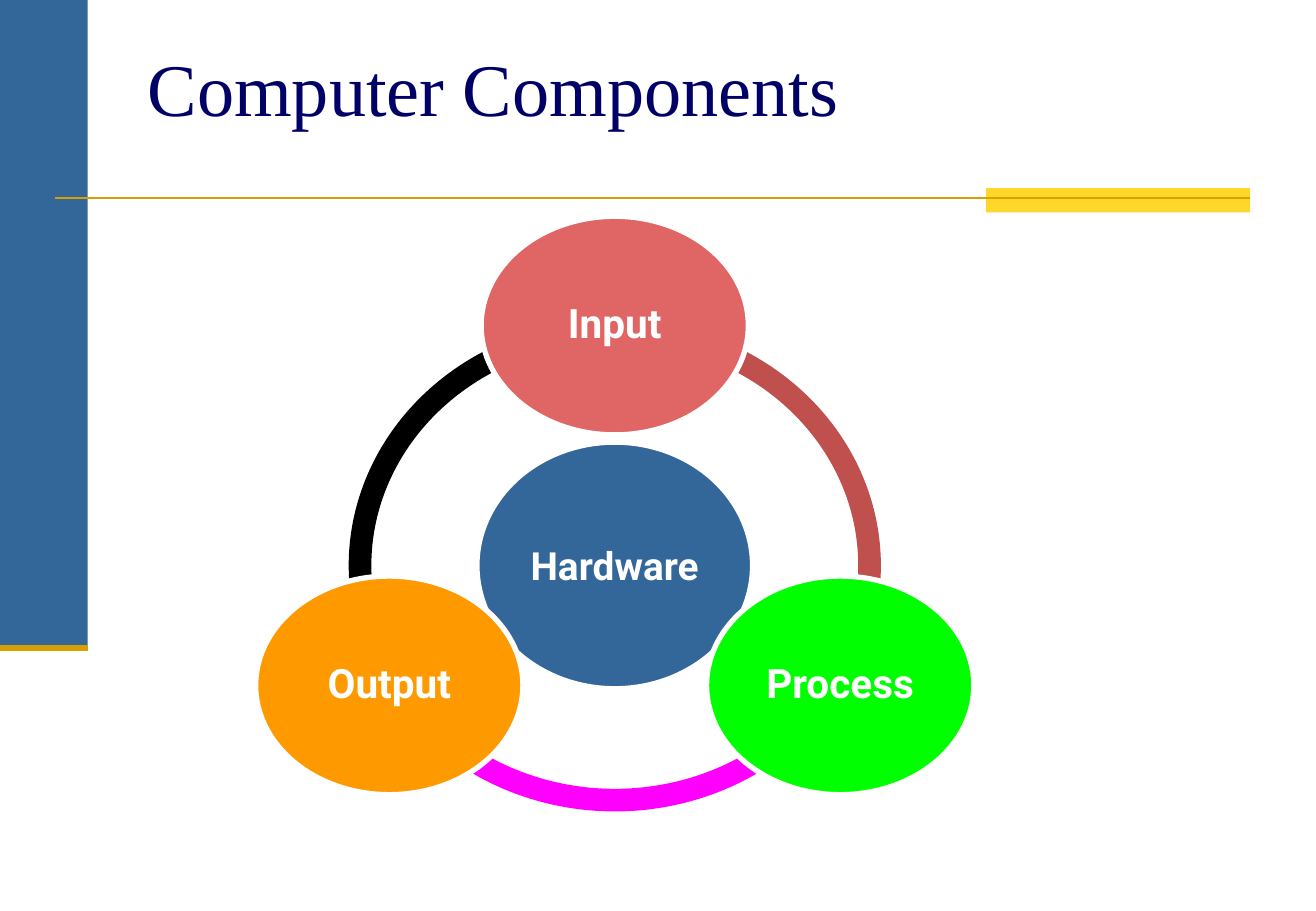
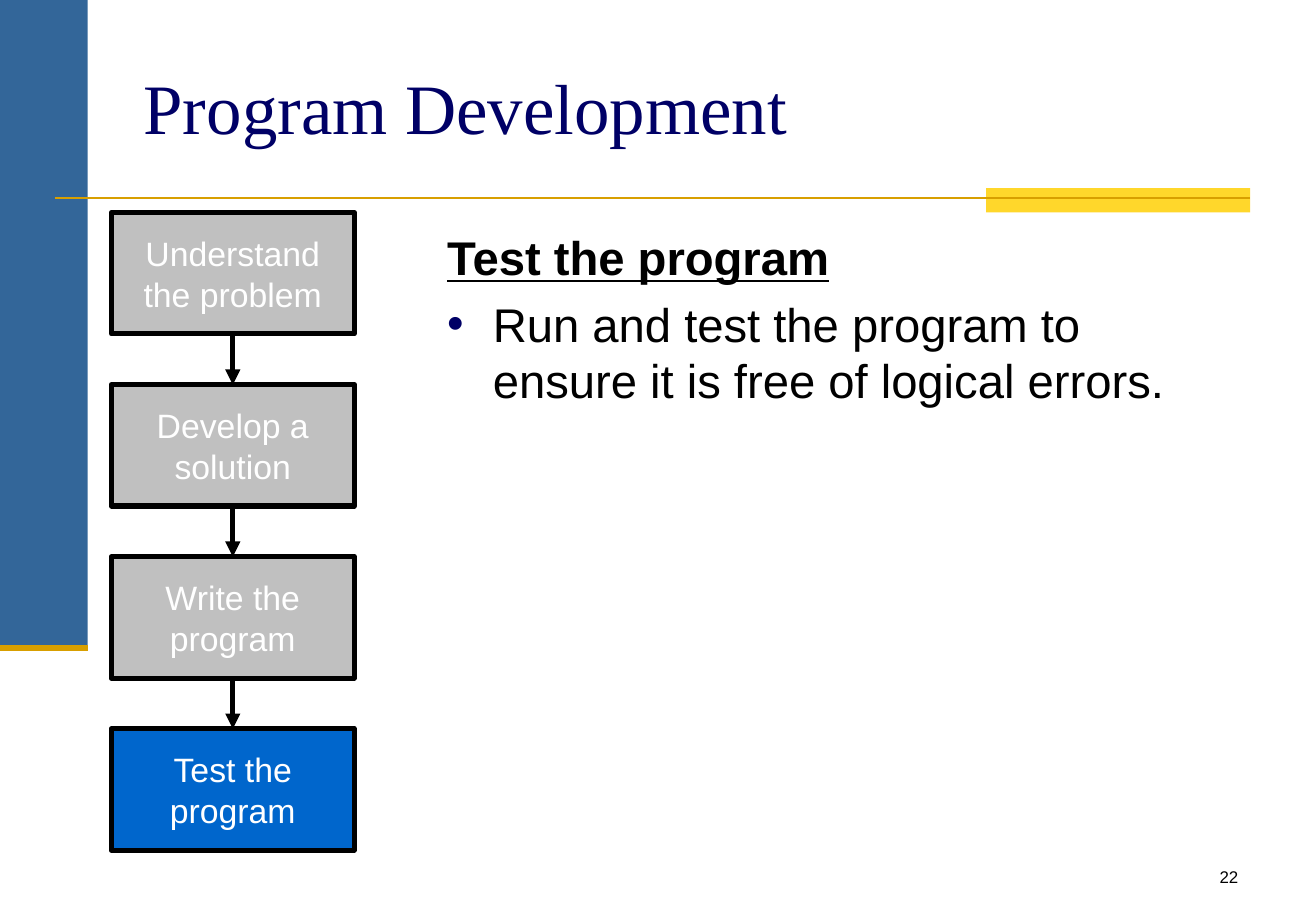
import math
from dataclasses import dataclass

from lxml import etree
from pptx import Presentation
from pptx.dml.color import RGBColor
from pptx.enum.shapes import MSO_CONNECTOR, MSO_SHAPE
from pptx.enum.text import MSO_ANCHOR, PP_ALIGN
from pptx.oxml.ns import qn
from pptx.util import Pt

RECTANGLE, ELLIPSE, ARC = MSO_SHAPE.RECTANGLE, MSO_SHAPE.OVAL, MSO_SHAPE.BLOCK_ARC
STRAIGHT = MSO_CONNECTOR.STRAIGHT
LEFT, CENTER, RIGHT = PP_ALIGN.LEFT, PP_ALIGN.CENTER, PP_ALIGN.RIGHT
TOP, MIDDLE, BOTTOM = MSO_ANCHOR.TOP, MSO_ANCHOR.MIDDLE, MSO_ANCHOR.BOTTOM

BLANK_LAYOUT = 6
INSETS = (7.2, 3.6)


@dataclass(frozen=True)
class Theme:
    blue: str = "336699"
    yellow: str = "FFD72B"
    gold: str = "D89F00"
    navy: str = "000066"
    black: str = "000000"
    white: str = "FFFFFF"
    gray: str = "C0C0C0"
    active: str = "0066CC"
    coral: str = "E06666"
    green: str = "00FF00"
    orange: str = "FF9900"
    brick: str = "BF504D"
    magenta: str = "FF00FF"
    title_font: str = "Times New Roman"
    body_font: str = "Arial"
    diagram_font: str = "Roboto"
    title_size: float = 44
    compact_title_size: float = 42
    body_size: float = 28
    orbit_size: float = 24
    hub_size: float = 23
    step_size: float = 20
    page_number_size: float = 10


def write_text(para, text, *, size, font, color, bold=False, underline=False,
               align=LEFT, line_spacing=None, space_before=0):
    para.alignment = align
    para.space_before = Pt(space_before)
    if line_spacing:
        para.line_spacing = line_spacing
    span = para.add_run()
    span.text = text
    span.font.size = Pt(size)
    span.font.name = font
    span.font.bold = bold
    span.font.underline = underline
    span.font.color.rgb = RGBColor.from_string(color)


def hang_indent(para, indent, bullet=None, bullet_color=None):
    properties = para._p.get_or_add_pPr()
    properties.set("marL", str(Pt(indent)))
    properties.set("indent", str(-Pt(indent)))
    if bullet:
        color = etree.SubElement(properties, qn("a:buClr"))
        etree.SubElement(color, qn("a:srgbClr"), val=bullet_color)
        etree.SubElement(properties, qn("a:buFont"), typeface="Arial")
        etree.SubElement(properties, qn("a:buChar"), char=bullet)


class SlideBuilder:
    def __init__(self, deck, theme):
        self.deck = deck
        self.theme = theme
        self.slide = None

    def start_slide(self):
        """Add a blank slide with the side band and the title rule."""
        theme = self.theme
        self.slide = self.deck.slides.add_slide(self.deck.slide_layouts[BLANK_LAYOUT])
        self.shape(RECTANGLE, 0, 0, 52, 384, theme.blue)
        self.shape(RECTANGLE, 584.5, 111.5, 156.5, 14.5, theme.yellow)
        self.line(32.5, 117.5, 741, 117.5, theme.gold, 1.5)
        self.line(0, 384, 52, 384, theme.gold, 3.5)

    def shape(self, kind, left, top, width, height, fill, line=None, line_width=0):
        shape = self.slide.shapes.add_shape(kind, Pt(left), Pt(top), Pt(width), Pt(height))
        shape.shadow.inherit = False
        shape.fill.solid()
        shape.fill.fore_color.rgb = RGBColor.from_string(fill)
        if line:
            shape.line.color.rgb = RGBColor.from_string(line)
            shape.line.width = Pt(line_width)
        else:
            shape.line.fill.background()
        return shape

    def frame(self, shape, anchor, insets=INSETS):
        frame = shape.text_frame
        frame.word_wrap = True
        frame.vertical_anchor = anchor
        frame.margin_left = frame.margin_right = Pt(insets[0])
        frame.margin_top = frame.margin_bottom = Pt(insets[1])
        return frame

    def text_box(self, left, top, width, height, anchor=TOP, insets=INSETS):
        box = self.slide.shapes.add_textbox(Pt(left), Pt(top), Pt(width), Pt(height))
        return self.frame(box, anchor, insets)

    def title(self, text, left, top, width, height, size, anchor, insets=INSETS):
        frame = self.text_box(left, top, width, height, anchor, insets)
        write_text(frame.paragraphs[0], text, size=size,
                   font=self.theme.title_font, color=self.theme.navy)

    def line(self, x1, y1, x2, y2, color, width, arrow=False):
        line = self.slide.shapes.add_connector(STRAIGHT, Pt(x1), Pt(y1), Pt(x2), Pt(y2))
        line.line.color.rgb = RGBColor.from_string(color)
        line.line.width = Pt(width)
        if arrow:
            etree.SubElement(line.line._get_or_add_ln(), qn("a:tailEnd"), type="triangle")
        etree.SubElement(line._element.spPr, qn("a:effectLst"))

    def arc(self, center, size, start, end, color):
        """Draw a thin ring segment clockwise between two angles in degrees."""
        arc = self.shape(ARC, center[0] - size[0] / 2, center[1] - size[1] / 2, *size, color)
        units_per_degree = 0.6
        arc.adjustments[0] = start * units_per_degree
        arc.adjustments[1] = end * units_per_degree
        arc.adjustments[2] = 0.046

    def bubble(self, text, center, size, fill, text_size, line_spacing=None):
        theme = self.theme
        bubble = self.shape(ELLIPSE, center[0] - size[0] / 2, center[1] - size[1] / 2,
                            *size, fill, theme.white, 3.15)
        frame = self.frame(bubble, MIDDLE, (0, 0))
        write_text(frame.paragraphs[0], text, size=text_size, font=theme.diagram_font,
                   color=theme.white, bold=True, align=CENTER, line_spacing=line_spacing)

    def step(self, text, left, top, width, height, fill):
        theme = self.theme
        box = self.shape(RECTANGLE, left, top, width, height, fill, theme.black, 3)
        write_text(self.frame(box, MIDDLE).paragraphs[0], text, size=theme.step_size,
                   font=theme.body_font, color=theme.white, align=CENTER)

    def page_number(self, number):
        frame = self.text_box(578, 510, 163, 18)
        write_text(frame.paragraphs[0], str(number), size=self.theme.page_number_size,
                   font=self.theme.body_font, color=self.theme.black, align=RIGHT)


def add_components_slide(builder):
    theme = builder.theme
    builder.start_slide()
    builder.title("Computer Components", 84, 21.6, 523.5, 56.2,
                  theme.title_size, BOTTOM, (3.6, 0))

    center = (364.4, 335.2)
    orbit = (154.3, 142.2)
    parts = [
        ("Input", 270, theme.coral, theme.brick),
        ("Process", 30, theme.green, theme.magenta),
        ("Output", 150, theme.orange, theme.black),
    ]
    for _, angle, _, arc_color in parts:
        builder.arc(center, (315.4, 291.6), angle, (angle + 120) % 360, arc_color)
    builder.bubble("Hardware", center, (163.4, 146.2), theme.blue, theme.hub_size)
    for name, angle, fill, _ in parts:
        turn = math.radians(angle)
        spot = (center[0] + orbit[0] * math.cos(turn), center[1] + orbit[1] * math.sin(turn))
        builder.bubble(name, spot, (158.4, 129.6), fill, theme.orbit_size, 0.9)


def add_development_slide(builder):
    theme = builder.theme
    builder.start_slide()
    builder.page_number(22)
    builder.title("Program Development", 78, 18, 663, 90, theme.compact_title_size, MIDDLE)

    steps = ["Understand the problem", "Develop a solution",
             "Write the program", "Test the program"]
    current = steps[-1]
    left, first_top, width, height, gap = 66, 126, 144, 72, 30
    for index, name in enumerate(steps):
        top = first_top + index * (height + gap)
        if index:
            middle = left + width / 2
            builder.line(middle, top - gap, middle, top, theme.black, 3, arrow=True)
        fill = theme.active if name == current else theme.gray
        builder.step(name, left, top, width, height, fill)

    frame = builder.text_box(258, 132, 476.5, 338.5)
    body = {"size": theme.body_size, "font": theme.body_font, "color": theme.black}
    heading = frame.paragraphs[0]
    write_text(heading, current, bold=True, underline=True, **body)
    hang_indent(heading, 27)
    detail = frame.add_paragraph()
    write_text(detail, "Run and test the program to ensure it is free of logical errors.",
               space_before=5.6, **body)
    hang_indent(detail, 27, "•", theme.navy)


def main():
    deck = Presentation()
    deck.slide_width, deck.slide_height = Pt(780), Pt(540)
    builder = SlideBuilder(deck, Theme())
    add_components_slide(builder)
    add_development_slide(builder)
    deck.save("out.pptx")


if __name__ == "__main__":
    main()
